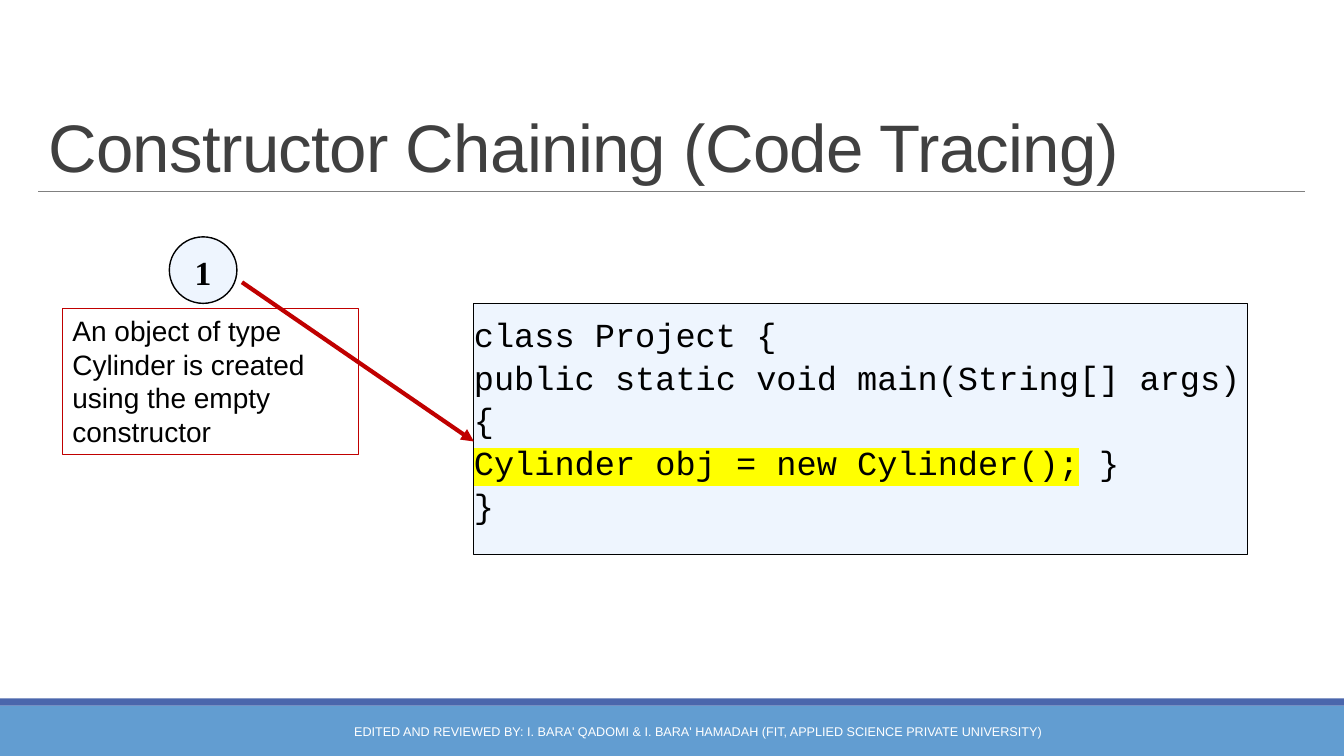
from lxml.etree import SubElement
from pptx import Presentation
from pptx.dml.color import RGBColor
from pptx.enum.shapes import MSO_CONNECTOR as Connector, MSO_SHAPE as Shape
from pptx.enum.text import MSO_ANCHOR as Anchor, MSO_AUTO_SIZE as AutoSize, PP_ALIGN as Align
from pptx.oxml.ns import qn
from pptx.util import Inches, Pt


def color(hex_value):
    return RGBColor.from_string(hex_value)


def apply(target, values):
    for name, value in values.items():
        setattr(target, name, value)


class TracingSlide:
    FOOTER_BLUE, RULE_BLUE, PANEL, RED = "629DD1", "4A66AC", "EEF5FE", "C00000"
    SANS = "Arial"

    def __init__(self, deck):
        self.slide = deck.slides.add_slide(deck.slide_layouts[5])

    def add_words(self, paragraph, text, font, size, ink="000000", bold=False, highlight=None):
        run = paragraph.add_run()
        run.text = text
        apply(run.font, {"name": font, "size": Pt(size), "bold": bold})
        run.font.color.rgb = color(ink)
        properties = run._r.get_or_add_rPr()
        if highlight:
            mark = SubElement(properties, qn("a:highlight"))
            SubElement(mark, qn("a:srgbClr")).set("val", highlight)
            properties.find(qn("a:latin")).addprevious(mark)
        return properties

    def title(self, text, *box):
        heading = self.slide.shapes.title
        apply(heading, dict(zip(("left", "top", "width", "height"), map(Inches, box))))
        apply(heading.text_frame, {"vertical_anchor": Anchor.BOTTOM, "word_wrap": True,
                                   "auto_size": AutoSize.NONE})
        paragraph = heading.text_frame.paragraphs[0]
        apply(paragraph, {"alignment": Align.LEFT, "line_spacing": 0.85})
        self.add_words(paragraph, text, self.SANS, 48, "404040").set("spc", "-50")

    def shape(self, kind, *box, fill=None, line=None, weight=0.75, anchor=Anchor.TOP,
              align=Align.LEFT):
        shape = self.slide.shapes.add_shape(kind, *map(Inches, box))
        shape.shadow.inherit = False
        if fill:
            shape.fill.solid()
            shape.fill.fore_color.rgb = color(fill)
        else:
            shape.fill.background()
        if line:
            shape.line.color.rgb = color(line)
            shape.line.width = Pt(weight)
        else:
            shape.line.fill.background()
        apply(shape.text_frame, {"word_wrap": True, "vertical_anchor": anchor})
        shape.text_frame.paragraphs[0].alignment = align
        return shape.text_frame

    def text(self, content, *box):
        frame = self.slide.shapes.add_textbox(*map(Inches, box)).text_frame
        apply(frame, {"word_wrap": True, "vertical_anchor": Anchor.MIDDLE})
        frame.paragraphs[0].alignment = Align.CENTER
        self.add_words(frame.paragraphs[0], content, self.SANS, 9, "FFFFFF")

    def code(self, lines, *box):
        frame = self.shape(Shape.RECTANGLE, *box, fill=self.PANEL, line="000000")
        apply(frame, {"margin_left": 0, "margin_right": 0, "margin_top": Inches(0.08)})
        paragraph = frame.paragraphs[0]
        paragraph.line_spacing = 1.06
        for number, pieces in enumerate(lines):
            if number:
                paragraph.add_line_break()
            for piece, highlight in pieces:
                self.add_words(paragraph, piece, "Courier New", 24, highlight=highlight)

    def line(self, x1, y1, x2, y2, ink, weight, arrow=False):
        line = self.slide.shapes.add_connector(
            Connector.STRAIGHT, *map(Inches, (x1, y1, x2, y2)))
        line.line.color.rgb = color(ink)
        line.line.width = Pt(weight)
        if arrow:
            SubElement(line.line._get_or_add_ln(), qn("a:tailEnd")).set("type", "triangle")
        SubElement(line._element.spPr, qn("a:effectLst"))


def main():
    deck = Presentation()
    apply(deck, {"slide_width": Inches(13.33), "slide_height": Inches(7.5)})
    page = TracingSlide(deck)

    page.shape(Shape.RECTANGLE, 0, 7, 13.33, 0.5, fill=page.FOOTER_BLUE)
    page.shape(Shape.RECTANGLE, 0, 6.93, 13.33, 0.07, fill=page.RULE_BLUE)
    page.line(0.38, 1.9, 12.94, 1.9, "808080", 0.5)
    page.title("Constructor Chaining (Code Tracing)", 0.38, 0.31, 12.56, 1.59)
    page.text("EDITED AND REVIEWED BY: I. BARA' QADOMI & I. BARA' HAMADAH "
              "(FIT, APPLIED SCIENCE PRIVATE UNIVERSITY)", 3.11, 7.06, 7.62, 0.4)

    page.code([
        [("class Project {", None)],
        [("public static void main(String[] args) {", None)],
        [("Cylinder obj = new Cylinder();", "FFFF00"), (" }", None)],
        [("}", None)],
    ], 4.7, 3.01, 7.67, 2.49)

    explanation = page.shape(Shape.RECTANGLE, 0.62, 3.06, 2.94, 1.45, line=page.RED)
    page.add_words(explanation.paragraphs[0],
                   "An object of type Cylinder is created using the empty constructor",
                   page.SANS, 20)

    step = page.shape(Shape.OVAL, 1.68, 2.35, 0.67, 0.66, fill=page.PANEL, line="000000",
                      weight=1, align=Align.CENTER)
    page.add_words(step.paragraphs[0], "1", "Times New Roman", 24, bold=True)
    page.line(2.4, 2.8, 4.7, 4.38, page.RED, 3, arrow=True)

    deck.save("out.pptx")


if __name__ == "__main__":
    main()
